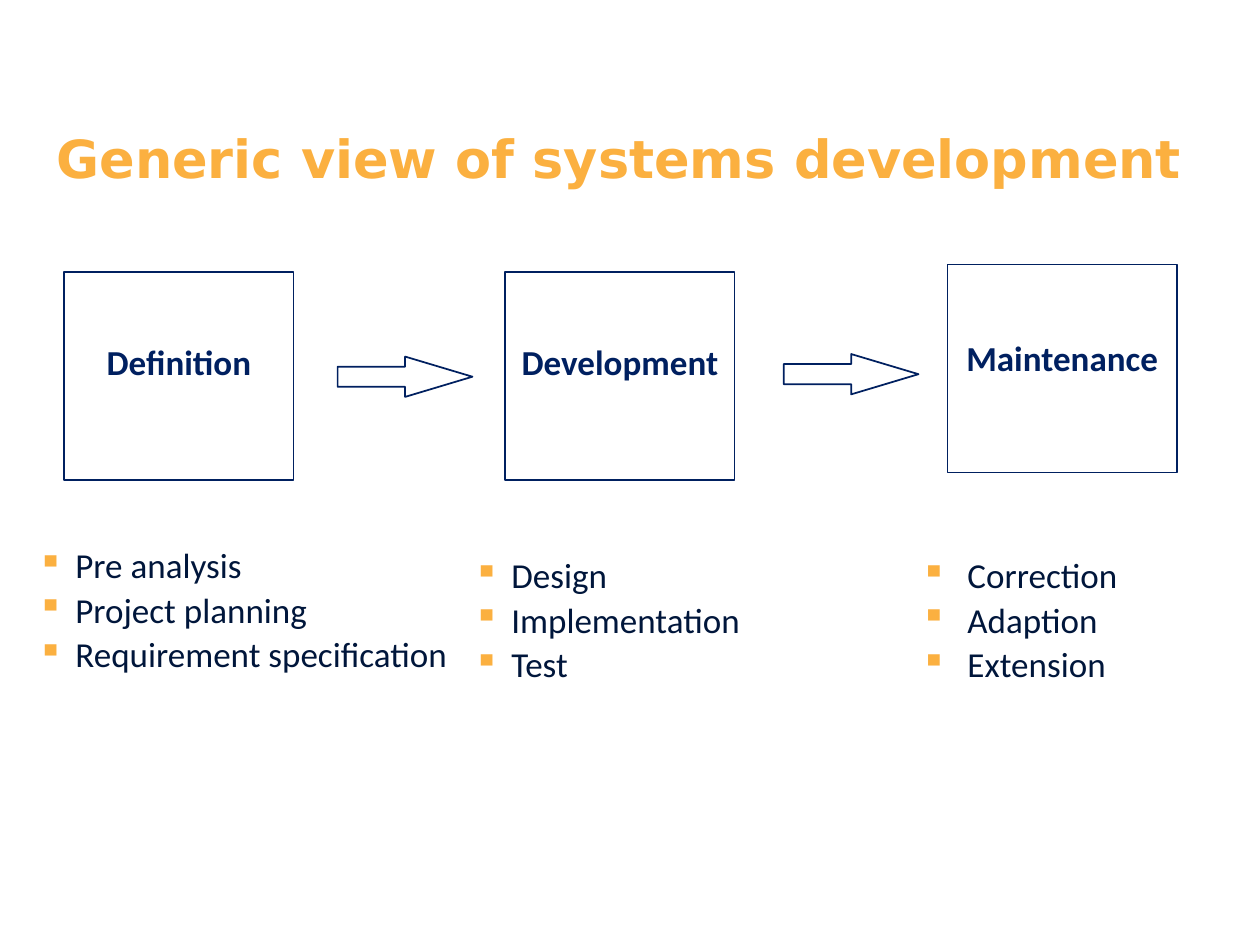
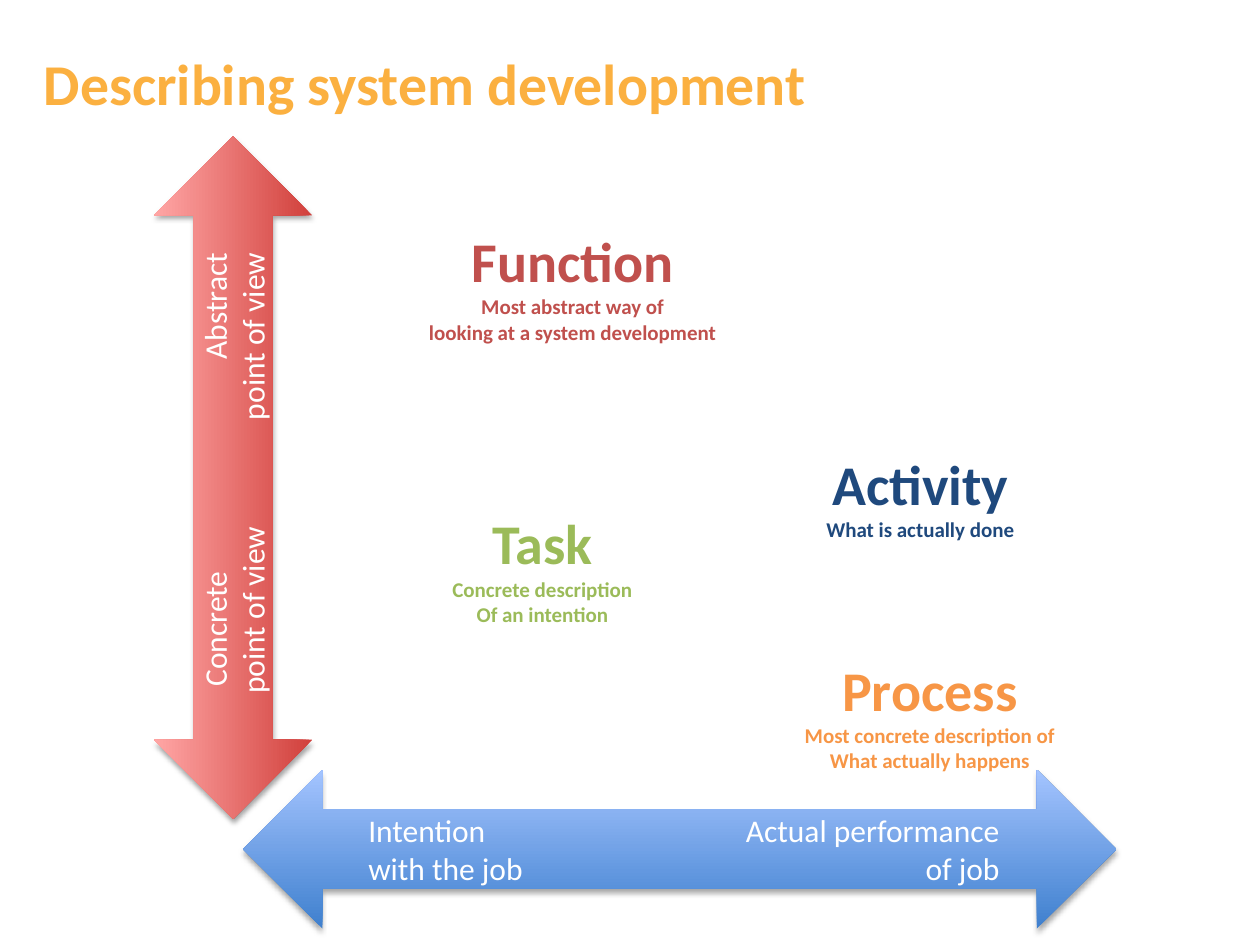
from lxml.etree import SubElement
from pptx import Presentation
from pptx.dml.color import RGBColor
from pptx.enum.shapes import MSO_SHAPE
from pptx.enum.text import MSO_ANCHOR, MSO_AUTO_SIZE, PP_ALIGN
from pptx.oxml.ns import qn
from pptx.util import Inches, Pt

GOLD = RGBColor(0xFB, 0xB0, 0x40)
NAVY = RGBColor(0x00, 0x20, 0x60)
INK = RGBColor(0x00, 0x16, 0x3B)
WHITE = RGBColor(0xFF, 0xFF, 0xFF)
RED = RGBColor(0xC0, 0x50, 0x4D)
GREEN = RGBColor(0x9B, 0xBB, 0x59)
BLUE = RGBColor(0x1F, 0x49, 0x7D)
ORANGE = RGBColor(0xF7, 0x96, 0x46)
BLUE_FADE = RGBColor(0x3F, 0x80, 0xCE), RGBColor(0xA4, 0xC4, 0xFF)
RED_FADE = RGBColor(0xD1, 0x40, 0x3C), RGBColor(0xFF, 0xA6, 0xA5)
FONT = "Calibri"


def add_para(frame, index, text, size, color, bold=False, font=FONT):
    para = frame.add_paragraph() if index else frame.paragraphs[0]
    run = para.add_run()
    run.text = text
    run.font.name = font
    run.font.size = Pt(size)
    run.font.bold = bold
    run.font.color.rgb = color
    return para


def add_box(slide, left, top, width, height, wrap=True):
    box = slide.shapes.add_textbox(*map(Inches, (left, top, width, height)))
    box.text_frame.word_wrap = wrap
    return box.text_frame


def add_title(slide, text, top, size, left, font=FONT):
    frame = add_box(slide, left, top, 9.5, 0.78)
    frame.margin_top = Inches(0.08)
    add_para(frame, 0, text, size, GOLD, True, font)


def add_label(slide, left, top, width, height, lines, color, wrap=False):
    """Centred bold text; lines are (text, size) pairs."""
    frame = add_box(slide, left, top, width, height, wrap)
    frame.auto_size = MSO_AUTO_SIZE.SHAPE_TO_FIT_TEXT
    for i, (text, size) in enumerate(lines):
        add_para(frame, i, text, size, color, True).alignment = PP_ALIGN.CENTER


def add_list(slide, left, top, height, items, indent):
    frame = add_box(slide, left, top, 3.62, height)
    for i, item in enumerate(items):
        para = add_para(frame, i, item, 20, INK)
        para.line_spacing = 0.9
        para.space_before = Pt(4)
        props = para._p.get_or_add_pPr()
        props.set("marL", str(Inches(indent)))
        props.set("indent", str(-Inches(indent)))
        tint = SubElement(props, qn("a:buClr"))
        SubElement(tint, qn("a:srgbClr"), val=str(GOLD))
        SubElement(props, qn("a:buChar"), char="▪")


def add_outline(slide, kind, left, top, width, height):
    shape = slide.shapes.add_shape(kind, *map(Inches, (left, top, width, height)))
    shape.shadow.inherit = False
    shape.fill.background()
    shape.line.color.rgb = NAVY
    shape.line.width = Pt(1)
    return shape


def add_shadow(shape):
    shape.shadow.inherit = False
    effects = shape._element.spPr.find(qn("a:effectLst"))
    outer = SubElement(effects, qn("a:outerShdw"), blurRad=str(Pt(3.1)),
                       dist=str(Pt(1.8)), dir="5400000", rotWithShape="0")
    black = SubElement(outer, qn("a:srgbClr"), val="000000")
    SubElement(black, qn("a:alpha"), val="35000")


def add_axis(slide, left, top, width, fade, lines, tabs, turn=0):
    """Two-headed arrow whose text is set on tab stops, (inches, side) pairs."""
    shape = slide.shapes.add_shape(
        MSO_SHAPE.LEFT_RIGHT_ARROW, *map(Inches, (left, top, width, 1.26)))
    shape.rotation = turn
    shape.line.fill.background()
    shape.fill.gradient()
    shape.fill.gradient_angle = 90
    for stop, color in zip(shape.fill.gradient_stops, fade):
        stop.color.rgb = color
    add_shadow(shape)
    frame = shape.text_frame
    frame.word_wrap = True
    frame.vertical_anchor = MSO_ANCHOR.MIDDLE
    for i, line in enumerate(lines):
        para = add_para(frame, i, line, 18, WHITE)
        para.alignment = PP_ALIGN.LEFT
        stops = SubElement(para._p.get_or_add_pPr(), qn("a:tabLst"))
        for pos, side in tabs:
            SubElement(stops, qn("a:tab"), pos=str(Inches(pos)), algn=side)


def build_phases(slide):
    add_title(slide, "Generic view of systems development", 0.92, 30, 0.35,
              "DejaVu Sans")
    for name, left, top, text_top in (
            ("Definition", 0.51, 2.16, 2.65),
            ("Development", 4.01, 2.16, 2.65),
            ("Maintenance", 7.52, 2.1, 2.62)):
        add_outline(slide, MSO_SHAPE.RECTANGLE, left, top, 1.82, 1.65)
        add_label(slide, left, text_top, 1.82, 0.44, [(name, 20)], NAVY, True)
    for left, top in ((2.68, 2.83), (6.22, 2.81)):
        arrow = add_outline(slide, MSO_SHAPE.RIGHT_ARROW, left, top, 1.07, 0.32)
        arrow.adjustments[1] = 1.67
    add_list(slide, 0.2, 4.3, 1.5,
             ("Pre analysis", "Project planning", "Requirement specification"), 0.3)
    add_list(slide, 3.66, 4.38, 1.43, ("Design", "Implementation", "Test"), 0.3)
    add_list(slide, 7.21, 4.38, 1.43, ("Correction", "Adaption", "Extension"), 0.37)


def build_views(slide):
    add_title(slide, "Describing system development", 0.3, 33, 0.25)
    add_axis(slide, 1.93, 6.11, 6.93, BLUE_FADE,
             ("\tIntention\tActual performance", "\twith the job\tof job"),
             ((0.58, "l"), (5.59, "r")))
    add_axis(slide, -0.86, 3.16, 5.42, RED_FADE,
             ("\t Concrete \tAbstract", "\tpoint of view\tpoint of view"),
             ((0.58, "l"), (4.08, "r")), 270)
    for name, notes, color, left, top, width in (
            ("Function", ("Most abstract way of", "looking at a system development"),
             RED, 3.29, 1.75, 2.51),
            ("Task", ("Concrete description", "Of an intention"),
             GREEN, 3.46, 3.99, 1.69),
            ("Activity", ("What is actually done",), BLUE, 6.45, 3.52, 1.71),
            ("Process", ("Most concrete description of", "What actually happens"),
             ORANGE, 6.26, 5.15, 2.24)):
        lines = [(name, 32)] + [(note, 12) for note in notes]
        add_label(slide, left, top, width, 0.64 + 0.2 * len(notes), lines, color)


def main():
    deck = Presentation()
    deck.slide_width = Inches(10)
    deck.slide_height = Inches(7.5)
    for build in (build_phases, build_views):
        build(deck.slides.add_slide(deck.slide_layouts[6]))
    deck.save("out.pptx")


if __name__ == "__main__":
    main()
